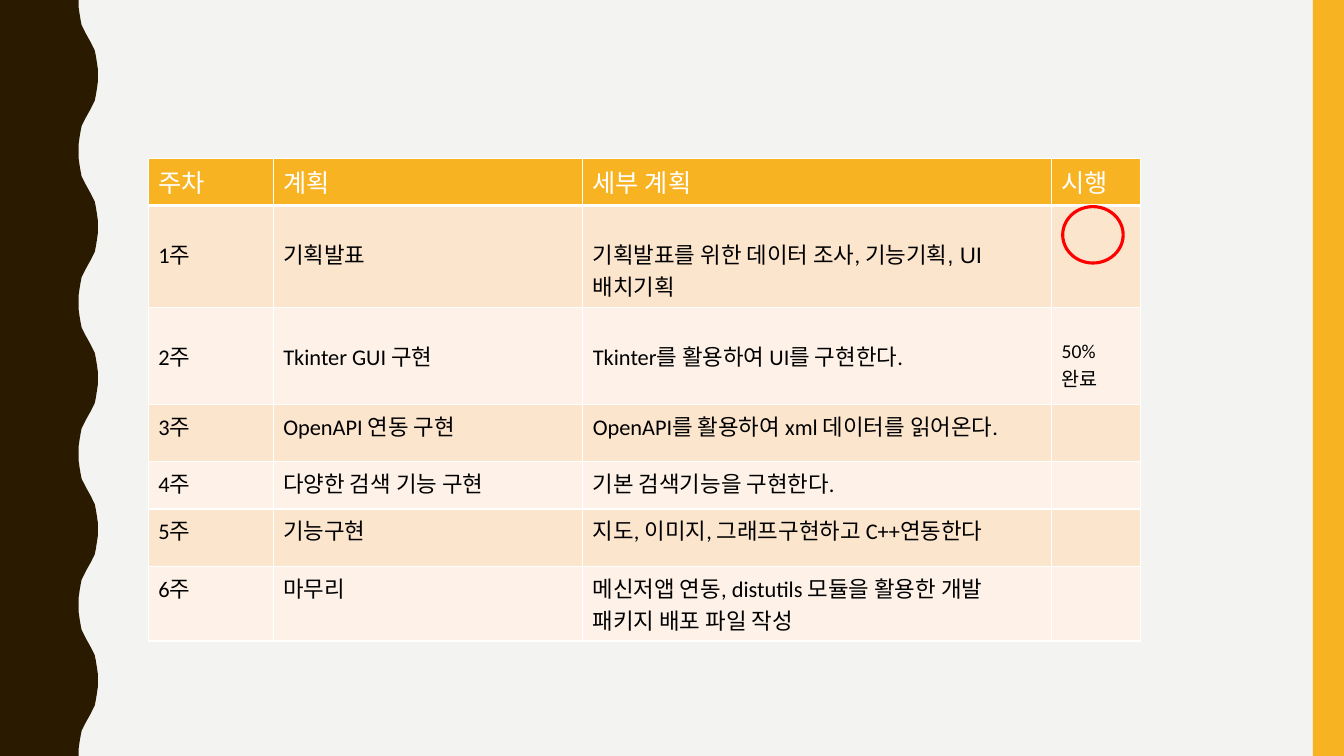
from dataclasses import dataclass

from lxml.etree import SubElement
from pptx import Presentation
from pptx.dml.color import RGBColor
from pptx.enum.shapes import MSO_SHAPE
from pptx.oxml.ns import qn
from pptx.slide import Slide
from pptx.table import _Cell
from pptx.util import Inches, Pt

COLORS = {
    "background": "F3F3F2",
    "wave": "2A1A00",
    "accent": "F8B323",
    "odd_row": "FCE5CD",
    "even_row": "FEF2E8",
    "white": "FFFFFF",
    "text": "000000",
    "mark": "FF0000",
}
SLIDE_WIDTH, SLIDE_HEIGHT = 13.33, 7.5
COLUMN_WIDTHS = (1.24, 3.07, 4.65, 0.88)
HEADERS = ("주차", "계획", "세부 계획", "시행")
CELL_MARGIN, LOWERED_MARGIN = 0.05, 0.32
HALF_WAVE, WAVE_SUM = 0.75, 1.75
QUARTER_WAVE = ((0.78, 0), (0.78, 0.07), (0.79, 0.14), (0.8, 0.2),
                (0.81, 0.25), (0.83, 0.29), (0.85, 0.33))


@dataclass(frozen=True)
class TextRun:
    """A piece of cell text with its font."""
    text: str
    size: int = 16
    font: str = "Calibri"


@dataclass(frozen=True)
class Week:
    """One week of the schedule."""
    plan: str
    details: tuple[TextRun, ...]
    height: float
    status: str = ""
    top_margin: float = CELL_MARGIN


WEEKS = (
    Week("기획발표",
         (TextRun("기획발표를 위한 데이터 조사, "), TextRun("기능기획, UI 배치기획", font="Arial")),
         1.01, top_margin=LOWERED_MARGIN),
    Week("Tkinter GUI 구현", (TextRun("Tkinter를 활용하여 UI를 구현한다."),),
         0.96, "50%완료", LOWERED_MARGIN),
    Week("OpenAPI 연동 구현", (TextRun("OpenAPI를 활용하여 xml 데이터를 읽어온다."),), 0.57),
    Week("다양한 검색 기능 구현", (TextRun("기본 검색기능을 구현한다."),), 0.47),
    Week("기능구현", (TextRun("지도, 이미지, 그래프구현하고 C++연동한다"),), 0.57),
    Week("마무리",
         (TextRun("메신저앱 연동, distutils 모듈을 활용한 개발 패키지 배포 파일 작성"),), 0.73),
)


def color(name: str) -> RGBColor:
    """Look up a named colour."""
    return RGBColor.from_string(COLORS[name])


def draw_wave(slide: Slide) -> None:
    """Draw the dark left band with its wavy edge."""
    mirrored = [(WAVE_SUM - x, HALF_WAVE - y) for x, y in reversed(QUARTER_WAVE)]
    rise = [*QUARTER_WAVE, (WAVE_SUM / 2, HALF_WAVE / 2), *mirrored]
    edge = [(WAVE_SUM - x if half % 2 else x, half * HALF_WAVE + y)
            for half in range(round(SLIDE_HEIGHT / HALF_WAVE)) for x, y in rise]
    points = [(Inches(x), Inches(y)) for x, y in [*edge, (0, SLIDE_HEIGHT)]]
    builder = slide.shapes.build_freeform(0, 0)
    builder.add_line_segments(points, close=True)
    shape = builder.convert_to_shape()
    shape.shadow.inherit = False
    shape.fill.solid()
    shape.fill.fore_color.rgb = color("wave")
    shape.line.fill.background()


def draw_side_bar(slide: Slide) -> None:
    """Draw the accent bar at the right edge."""
    shape = slide.shapes.add_shape(MSO_SHAPE.RECTANGLE, Inches(13.02), Inches(0),
                                   Inches(0.31), Inches(SLIDE_HEIGHT))
    shape.shadow.inherit = False
    shape.fill.solid()
    shape.fill.fore_color.rgb = color("accent")
    shape.line.fill.background()


def set_borders(cell: _Cell, bottom: int) -> None:
    """Give a cell white borders, the bottom one of the given width."""
    properties = cell._tc.get_or_add_tcPr()
    for side, width in {"lnL": 1, "lnR": 1, "lnT": 1, "lnB": bottom}.items():
        line = SubElement(properties, qn(f"a:{side}"), w=str(Pt(width)))
        fill = SubElement(line, qn("a:solidFill"))
        SubElement(fill, qn("a:srgbClr"), val=COLORS["white"])


def fill_cell(cell: _Cell, runs: tuple[TextRun, ...], fill: str, font_color: str,
              top_margin: float = CELL_MARGIN, bottom_border: int = 1) -> None:
    """Style a cell and add its text."""
    set_borders(cell, bottom_border)
    cell.fill.solid()
    cell.fill.fore_color.rgb = color(fill)
    cell.margin_top = Inches(top_margin)
    paragraph = cell.text_frame.paragraphs[0]
    for text_run in runs:
        run = paragraph.add_run()
        run.text = text_run.text
        run.font.size = Pt(text_run.size)
        run.font.name = text_run.font
        run.font.color.rgb = color(font_color)


def draw_schedule(slide: Slide) -> None:
    """Draw the weekly schedule table."""
    heights = (0.47, *(week.height for week in WEEKS))
    table = slide.shapes.add_table(
        len(heights), len(COLUMN_WIDTHS), Inches(1.47), Inches(1.57),
        Inches(sum(COLUMN_WIDTHS)), Inches(sum(heights))).table
    table.first_row = False
    table.horz_banding = False
    for column, width in zip(table.columns, COLUMN_WIDTHS):
        column.width = Inches(width)
    for row, height in zip(table.rows, heights):
        row.height = Inches(height)
    for column_index, header in enumerate(HEADERS):
        fill_cell(table.cell(0, column_index), (TextRun(header, 18),),
                  "accent", "white", bottom_border=3)
    for number, week in enumerate(WEEKS, start=1):
        status = (TextRun(week.status, 14),) if week.status else ()
        contents = ((TextRun(f"{number}주"),), (TextRun(week.plan),), week.details, status)
        fill = "odd_row" if number % 2 else "even_row"
        for column_index, runs in enumerate(contents):
            fill_cell(table.cell(number, column_index), runs, fill, "text", week.top_margin)


def draw_done_mark(slide: Slide) -> None:
    """Circle the status of the finished first week."""
    shape = slide.shapes.add_shape(MSO_SHAPE.OVAL, Inches(10.54), Inches(2.05),
                                   Inches(0.6), Inches(0.56))
    shape.shadow.inherit = False
    shape.fill.background()
    shape.line.color.rgb = color("mark")
    shape.line.width = Pt(2.25)


def main() -> None:
    """Build and save the presentation."""
    presentation = Presentation()
    presentation.slide_width = Inches(SLIDE_WIDTH)
    presentation.slide_height = Inches(SLIDE_HEIGHT)
    slide = presentation.slides.add_slide(presentation.slide_layouts[6])
    slide.background.fill.solid()
    slide.background.fill.fore_color.rgb = color("background")
    draw_wave(slide)
    draw_side_bar(slide)
    draw_schedule(slide)
    draw_done_mark(slide)
    presentation.save("out.pptx")


main()
